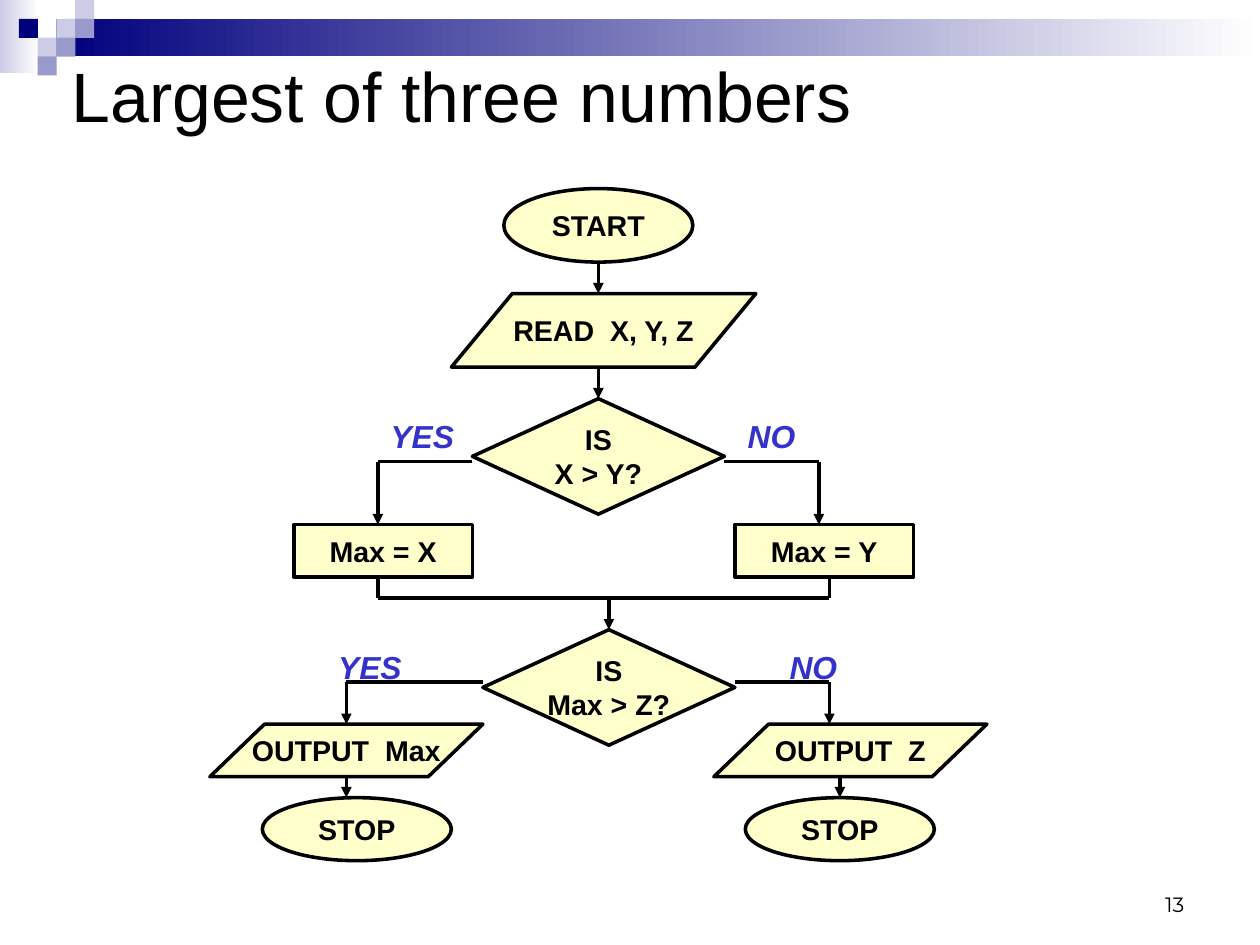
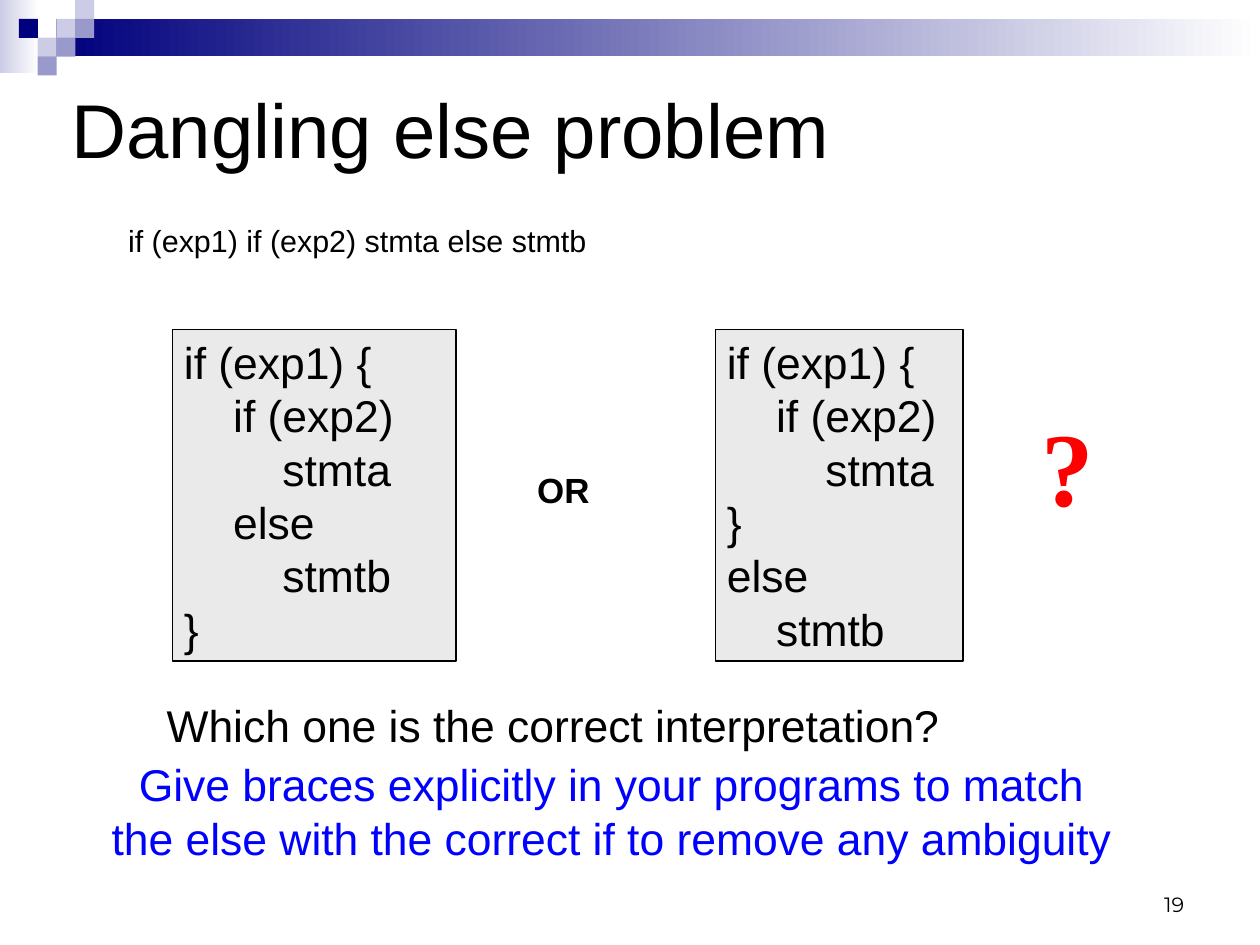
from dataclasses import dataclass
from itertools import pairwise

from lxml import etree
from pptx import Presentation
from pptx.dml.color import RGBColor
from pptx.enum.shapes import MSO_CONNECTOR, MSO_SHAPE
from pptx.enum.text import MSO_ANCHOR, PP_ALIGN
from pptx.oxml.ns import qn
from pptx.util import Pt

RECT = MSO_SHAPE.RECTANGLE
OVAL = MSO_SHAPE.OVAL
DATA = MSO_SHAPE.FLOWCHART_DATA
DECISION = MSO_SHAPE.FLOWCHART_DECISION
STRAIGHT = MSO_CONNECTOR.STRAIGHT
TOP, MIDDLE, BOTTOM = MSO_ANCHOR.TOP, MSO_ANCHOR.MIDDLE, MSO_ANCHOR.BOTTOM
LEFT, CENTER, RIGHT = PP_ALIGN.LEFT, PP_ALIGN.CENTER, PP_ALIGN.RIGHT


@dataclass(frozen=True)
class Theme:
    """Colours, fonts and type sizes shared by the slides."""
    width: float = 793.75
    height: float = 595.25
    ink: str = "000000"
    white: str = "FFFFFF"
    navy: str = "00007D"
    mid: str = "9999CC"
    pale: str = "CCCCE6"
    node: str = "FFFFCC"
    branch: str = "3333CC"
    code: str = "EAEAEA"
    advice: str = "0000FF"
    alert: str = "FF0000"
    font: str = "Arial"
    number_font: str = "Montserrat"
    serif: str = "Times New Roman"
    number_size: float = 13
    node_size: float = 18
    line_size: float = 19.2
    branch_size: float = 20
    or_size: float = 22
    body_size: float = 28
    flow_title_size: float = 44
    code_title_size: float = 48
    mark_size: float = 66
    stroke: float = 2.25
    wide_inset: tuple = (8, 4.5)
    inset: tuple = (7.2, 3.6)


T = Theme()


def rgb(value):
    """Turn a hex string into a colour."""
    return RGBColor.from_string(value)


def write(sp, text, size=T.body_size, color=T.ink, font=T.font, bold=False,
          italic=False, align=LEFT, anchor=TOP, wrap=True, inset=T.wide_inset):
    """Fill a shape with text, one paragraph per line."""
    tf = sp.text_frame
    tf.word_wrap = wrap
    tf.vertical_anchor = anchor
    tf.margin_left = tf.margin_right = Pt(inset[0])
    tf.margin_top = tf.margin_bottom = Pt(inset[1])
    for i, line in enumerate(text.split("\n")):
        p = tf.paragraphs[0] if i == 0 else tf.add_paragraph()
        p.alignment = align
        r = p.add_run()
        r.text = line
        r.font.size = Pt(size)
        r.font.name = font
        r.font.bold = bold
        r.font.italic = italic
        r.font.color.rgb = rgb(color)


def label(s, box, text, **fmt):
    """Add a text box."""
    write(s.shapes.add_textbox(*map(Pt, box)), text, **fmt)


def shape(s, kind, box, fill, line=None, weight=1, fade=None):
    """Add a preset shape with a plain fill or a fade to a second colour."""
    sp = s.shapes.add_shape(kind, *map(Pt, box))
    sp.shadow.inherit = False
    if fade:
        sp.fill.gradient()
        sp.fill.gradient_angle = 0
        for stop, color in zip(sp.fill.gradient_stops, (fill, fade)):
            stop.color.rgb = rgb(color)
    else:
        sp.fill.solid()
        sp.fill.fore_color.rgb = rgb(fill)
    if line:
        sp.line.color.rgb = rgb(line)
        sp.line.width = Pt(weight)
    else:
        sp.line.fill.background()
    return sp


def connect(s, start, end, arrow):
    """Add a straight line, with an arrowhead at its end if asked."""
    c = s.shapes.add_connector(STRAIGHT, *map(Pt, (*start, *end)))
    c.line.color.rgb = rgb(T.ink)
    c.line.width = Pt(T.stroke)
    if arrow:
        etree.SubElement(c.line._get_or_add_ln(), qn("a:tailEnd"), type="triangle")
    etree.SubElement(c._element.spPr, qn("a:effectLst"))


def header(s, left, top, width):
    """Draw the fading band and its mosaic of squares."""
    u = 11.85
    shape(s, RECT, (left, top, 24.5, 46), T.pale, fade=T.white)
    shape(s, RECT, (left + 3 * u, top + u, width - 3 * u, 2 * u), T.navy, fade=T.white)
    squares = ((3, 1, T.pale), (4, 0, T.pale), (4, 1, T.mid), (2, 2, T.pale),
               (1, 1, T.navy), (3, 2, T.mid), (2, 3, T.mid))
    for col, row, color in squares:
        shape(s, RECT, (left + col * u, top + row * u, 12, 12), color)


def base_slide(prs, title, title_top, title_size, number):
    """Add a slide with the header, title and page number."""
    s = prs.slides.add_slide(prs.slide_layouts[6])
    header(s, 0, 0, T.width)
    label(s, (569, 542.5, 185, 39.5), number, size=T.number_size,
          font=T.number_font, align=RIGHT, anchor=BOTTOM)
    label(s, (37, title_top, 714, 119), title, size=title_size, anchor=MIDDLE)
    return s


def flowchart(s, left, top, width):
    """Draw the flowchart on a grid of 74 units across the width."""
    u = width / 74

    def at(x, y):
        """Place a grid point on the slide."""
        return left + x * u, top + y * u

    nodes = (
        (OVAL, 28, 0, 18, 7, "START"),
        (DATA, 23, 10, 29, 7, "READ  X, Y, Z"),
        (DECISION, 26, 42, 24, 11, "IS\nMax > Z?"),
        (DECISION, 25, 20, 24, 11, "IS\nX > Y?"),
        (RECT, 8, 32, 17, 5, "Max = X"),
        (RECT, 50, 32, 17, 5, "Max = Y"),
        (DATA, 0, 51, 26, 5, "OUTPUT  Max"),
        (DATA, 48, 51, 26, 5, "OUTPUT  Z"),
        (OVAL, 5, 58, 18, 6, "STOP"),
        (OVAL, 51, 58, 18, 6, "STOP"),
    )
    for kind, x, y, w, h, text in nodes:
        sp = shape(s, kind, (*at(x, y), w * u, h * u), T.node, T.ink, T.stroke)
        write(sp, text, size=T.node_size, bold=True, align=CENTER,
              anchor=MIDDLE, wrap=False)

    arrows = (
        ((37, 7), (37, 10)),
        ((37, 17), (37, 20)),
        ((49, 26), (58, 26), (58, 32)),
        ((25, 26), (16, 26), (16, 32)),
        ((38, 39), (38, 42)),
        ((50, 47), (59, 47), (59, 51)),
        ((26, 47), (13, 47), (13, 51)),
        ((60, 56), (60, 58)),
        ((13, 56), (13, 58)),
    )
    merge = ((16, 37), (16, 39), (59, 39), (59, 37))
    for route in (*arrows, merge):
        for start, end in pairwise(route):
            connect(s, at(*start), at(*end), route is not merge and end == route[-1])

    branches = ((16, 21, "YES"), (11, 43, "YES"), (50, 21, "NO"), (54, 43, "NO"))
    for x, y, text in branches:
        label(s, (*at(x, y), 14 * u, 4.8 * u), text, size=T.branch_size,
              color=T.branch, bold=True, italic=True)


def comparison(s, left, top, height):
    """Show the two readings of the statement side by side."""
    readings = (
        (0, 178.5, "if (exp1) {\n    if (exp2)\n        stmta\n    else\n        stmtb\n}"),
        (342, 156, "if (exp1) {\n    if (exp2)\n        stmta\n}\nelse\n    stmtb"),
    )
    for x, width, code in readings:
        sp = shape(s, RECT, (left + x, top, width, height), T.code, T.ink)
        write(sp, code, inset=T.inset)
    label(s, (left + 222.5, top + 84, 53.5, 34), "OR", size=T.or_size,
          bold=True, inset=T.inset)
    label(s, (left + 540, top + 42, 47.5, 86.5), "?", size=T.mark_size,
          color=T.alert, font=T.serif, bold=True, wrap=False, inset=T.inset)


def largest_slide(prs):
    """Build the flowchart slide."""
    s = base_slide(prs, "Largest of three numbers", 0, T.flow_title_size, "13")
    flowchart(s, 132.2, 118.8, 489.5)


def dangling_slide(prs):
    """Build the dangling else slide."""
    s = base_slide(prs, "Dangling else problem", 21.5, T.code_title_size, "19")
    label(s, (72.7, 135.2, 553.5, 33), "if (exp1) if (exp2) stmta else stmtb",
          size=T.line_size)
    comparison(s, 108.8, 207.5, 209)
    label(s, (97, 435.2, 546, 42), "Which one is the correct interpretation?")
    label(s, (67, 477, 636, 118), "Give braces explicitly in your programs to match "
          "the else with the correct if to remove any ambiguity",
          color=T.advice, align=CENTER, inset=(0, 0))


def main():
    """Build and save the presentation."""
    prs = Presentation()
    prs.slide_width, prs.slide_height = Pt(T.width), Pt(T.height)
    largest_slide(prs)
    dangling_slide(prs)
    prs.save("out.pptx")


if __name__ == "__main__":
    main()
